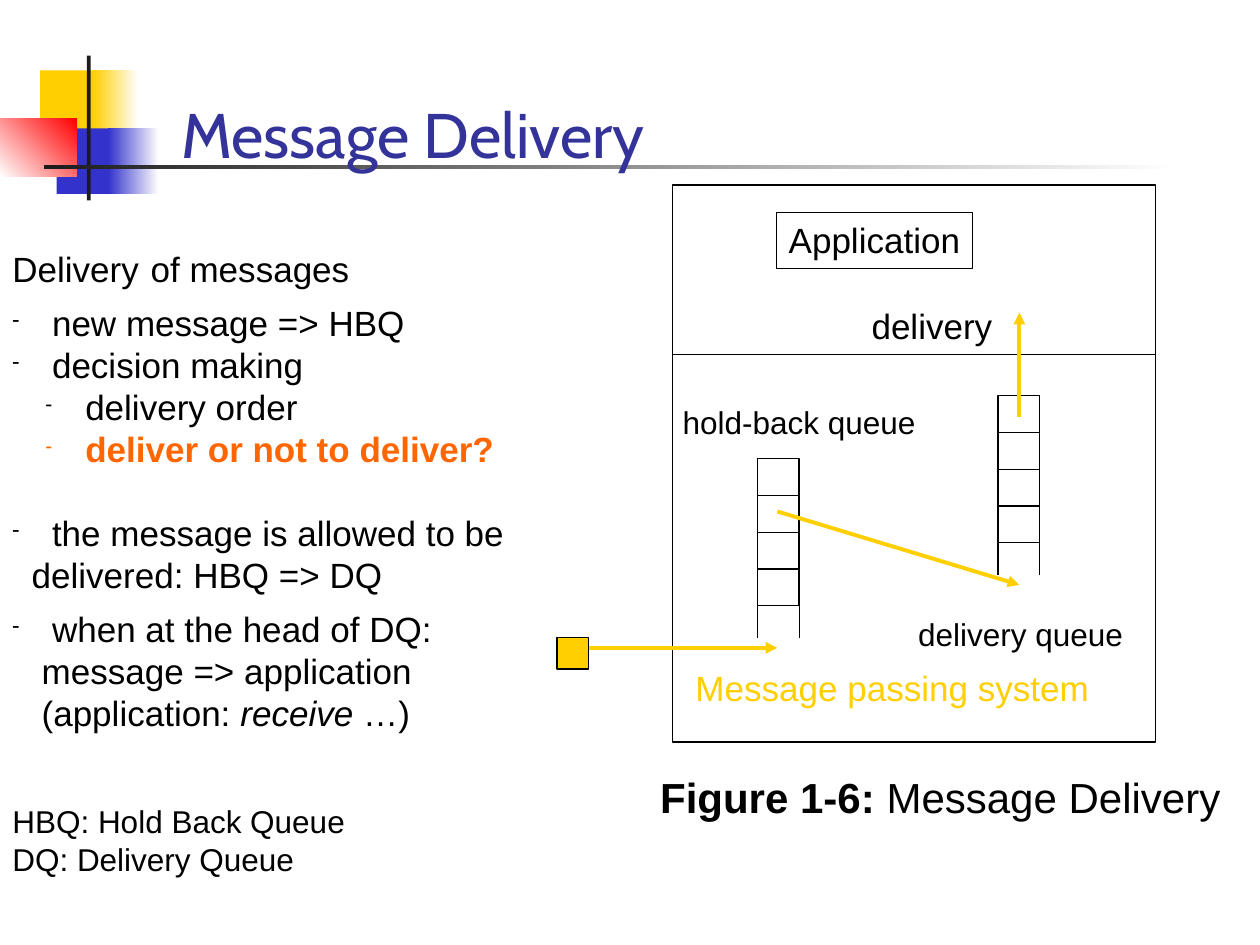
from lxml import etree
from pptx import Presentation
from pptx.dml.color import RGBColor
from pptx.enum.shapes import MSO_CONNECTOR as Conn, MSO_SHAPE as Kind
from pptx.enum.text import MSO_ANCHOR as Anchor
from pptx.oxml.ns import qn
from pptx.util import Cm, Pt

BLACK = RGBColor(0x00, 0x00, 0x00)
WHITE = RGBColor(0xFF, 0xFF, 0xFF)
DARK = RGBColor(0x1C, 0x1C, 0x1C)
GOLD = RGBColor(0xFF, 0xCF, 0x01)
BLUE = RGBColor(0x33, 0x33, 0xCC)
NAVY = RGBColor(0x33, 0x33, 0x99)
RED = RGBColor(0xFF, 0x00, 0x00)
ORANGE = RGBColor(0xFF, 0x66, 0x00)


def style(font, **form):
    color = form.pop("color", BLACK)
    for name, value in {"name": "Arial", **form}.items():
        setattr(font, name, value)
    font.color.rgb = color


def write(para, runs, size, **form):
    """Fill a paragraph from (text, format) pairs."""
    for text, extra in runs:
        run = para.add_run()
        run.text = text
        style(run.font, **{"size": Pt(size), **form, **extra})


def text_box(slide, x, y, w, h):
    frame = slide.shapes.add_textbox(Cm(x), Cm(y), Cm(w), Cm(h)).text_frame
    frame.word_wrap = True
    return frame


def label(slide, x, y, w, h, text, size, **form):
    frame = text_box(slide, x, y, w, h)
    write(frame.paragraphs[0], [(text, {})], size, **form)


def rect(slide, x, y, w, h, fill=None, fade=None, angle=0, edge=True):
    shape = slide.shapes.add_shape(Kind.RECTANGLE, Cm(x), Cm(y), Cm(w), Cm(h))
    shape.shadow.inherit = False
    if fade is not None:
        shape.fill.gradient()
        shape.fill.gradient_angle = angle
        for stop, color in zip(shape.fill.gradient_stops, (fill, fade)):
            stop.color.rgb = color
    elif fill is not None:
        shape.fill.solid()
        shape.fill.fore_color.rgb = fill
    else:
        shape.fill.background()
    if edge:
        shape.line.color.rgb = BLACK
        shape.line.width = Pt(0.75)
    else:
        shape.line.fill.background()


def line(slide, x1, y1, x2, y2, color=BLACK, width=0.75, arrow=False):
    link = slide.shapes.add_connector(
        Conn.STRAIGHT, Cm(x1), Cm(y1), Cm(x2), Cm(y2))
    link.line.color.rgb = color
    link.line.width = Pt(width)
    if arrow:
        etree.SubElement(link.line._ln, qn("a:tailEnd"), type="triangle")
    etree.SubElement(link._element.spPr, qn("a:effectLst"))


def indent(para, left, hang=0, bullet=None, scale=60):
    props = para._p.get_or_add_pPr()
    props.set("marL", str(Cm(left)))
    props.set("indent", str(-Cm(hang)))
    if bullet is not None:
        color = etree.SubElement(props, qn("a:buClr"))
        etree.SubElement(color, qn("a:srgbClr"), val=str(bullet))
        etree.SubElement(props, qn("a:buSzPct"), val=str(scale * 1000))
        etree.SubElement(props, qn("a:buChar"), char="-")


def draw_motif(slide, x, y):
    # Coloured blocks, then the crossing bars
    for dx, dy, w, h, fill, fade, angle in (
            (0.81, 0.3, 1.22, 1.32, GOLD, None, 0),
            (1.88, 0.3, 0.91, 1.32, GOLD, WHITE, 0),
            (1.14, 1.47, 1.17, 1.32, BLUE, None, 0),
            (2.18, 1.47, 1.02, 1.32, BLUE, WHITE, 0),
            (0, 1.27, 1.55, 1.17, WHITE, RED, 45),
            (1.75, 0, 0.08, 2.92, DARK, None, 0),
            (0.89, 2.21, 22.86, 0.08, DARK, WHITE, 0)):
        rect(slide, x + dx, y + dy, w, h, fill, fade, angle, edge=False)


def draw_title(slide, x, y, w, h):
    frame = text_box(slide, x, y, w, h)
    frame.vertical_anchor = Anchor.BOTTOM
    write(frame.paragraphs[0], [("Message Delivery", {})], 36,
          name="Cabin", color=NAVY)


def draw_steps(slide, x, y, w, h):
    frame = text_box(slide, x, y, w, h)
    top = (0.8, 0.8, BLACK, 60)
    sub = (1.47, 0.8, BLACK, 55)
    hot = (1.47, 0.8, ORANGE, 55)
    # Indent, space before, runs
    rows = (
        ((0,), 0, [("Delivery", {}), (" ", {"size": Pt(24)}),
                   ("of messages", {})]),
        (top, 6, [("new message => HBQ", {})]),
        (top, 0, [("decision making", {})]),
        (sub, 0, [("delivery order", {})]),
        (hot, 0, [("deliver or not to deliver?",
                   {"bold": True, "color": ORANGE})]),
        (top, 24, [("the message is allowed to be", {})]),
        ((0.39,), 0, [("delivered: HBQ => DQ", {})]),
        (top, 7, [("when at the head of DQ:", {})]),
        ((0.59,), 0, [("message => application", {})]),
        ((0.59,), 0, [("(application: ", {}), ("receive", {"italic": True}),
                      (" …)", {})]),
    )
    for i, (left, gap, runs) in enumerate(rows):
        para = frame.add_paragraph() if i else frame.paragraphs[0]
        para.line_spacing = Pt(24 if i else 29)
        para.space_before = Pt(gap)
        indent(para, *left)
        write(para, runs, 20)


def draw_queue(slide, x, y, w=0.84, cell=0.74):
    for i in range(4):
        rect(slide, x, y + i * cell, w, cell)
    # Open end
    for side in (x, x + w):
        line(slide, side, y + 2.77, side, y + 3.61)


def draw_system(slide, x, y, w, h):
    # Frame, divider and application
    rect(slide, x, y, w, h)
    line(slide, x, y + 3.41, x + w, y + 3.41)
    rect(slide, x + 2.09, y + 0.56, 3.96, 1.12)
    # Hold-back and delivery queues
    for dx, dy in ((1.71, 5.52), (6.56, 4.25)):
        draw_queue(slide, x + dx, y + dy)
    # Labels, with room to stay on one line
    for dx, dy, lw, lh, text, size, color in (
            (2.09, 0.56, 4.4, 1.12, "Application", 20, BLACK),
            (-0.05, 4.27, 5.6, 1.02, "hold-back queue", 18, BLACK),
            (4.7, 8.54, 5, 1.02, "delivery queue", 18, BLACK),
            (3.76, 2.29, 3.2, 1.12, "delivery", 20, BLACK),
            (0.21, 9.58, 9, 1.12, "Message passing system", 20, GOLD)):
        label(slide, x + dx, y + dy, lw, lh, text, size, color=color)
    # Path of a message
    for x1, y1, x2, y2 in ((-1.7, 9.33, 2.11, 9.33),
                           (2.11, 6.58, 6.99, 8.06),
                           (6.99, 4.68, 6.99, 2.57)):
        line(slide, x + x1, y + y1, x + x2, y + y2, GOLD, 2.25, arrow=True)
    rect(slide, x - 2.33, y + 9.12, 0.64, 0.64, GOLD)


def draw_key(slide, x, y, w, h):
    frame = text_box(slide, x, y, w, h)
    write(frame.paragraphs[0], [("HBQ: Hold Back Queue", {})], 18)
    write(frame.add_paragraph(), [("DQ: Delivery Queue", {})], 18)


def draw_caption(slide, x, y, w, h):
    para = text_box(slide, x, y, w, h).paragraphs[0]
    indent(para, 1.7, 1.7)
    write(para, [("Figure 1-6:", {"bold": True}),
                 (" Message Delivery", {})], 24)


def main():
    deck = Presentation()
    deck.slide_width, deck.slide_height = Cm(25.4), Cm(19.05)
    slide = deck.slides.add_slide(deck.slide_layouts[6])
    draw_motif(slide, 0, 1.12)
    draw_title(slide, 3.4, 0.99, 18.26, 2.59)
    draw_steps(slide, 0, 4.72, 13.06, 10.21)
    draw_system(slide, 13.56, 3.73, 9.73, 11.23)
    draw_key(slide, 0, 16.05, 7.59, 1.78)
    draw_caption(slide, 13.06, 15.42, 12.4, 1.27)
    deck.save("out.pptx")


if __name__ == "__main__":
    main()
